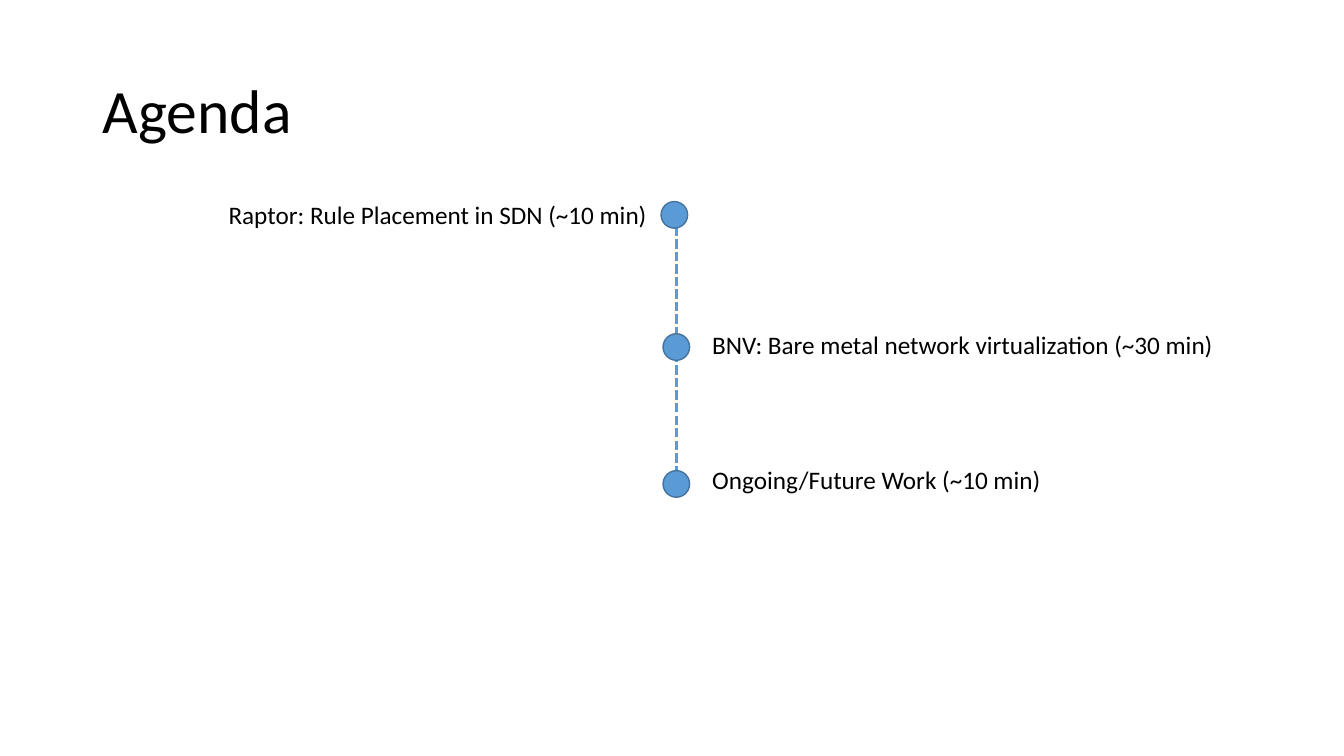
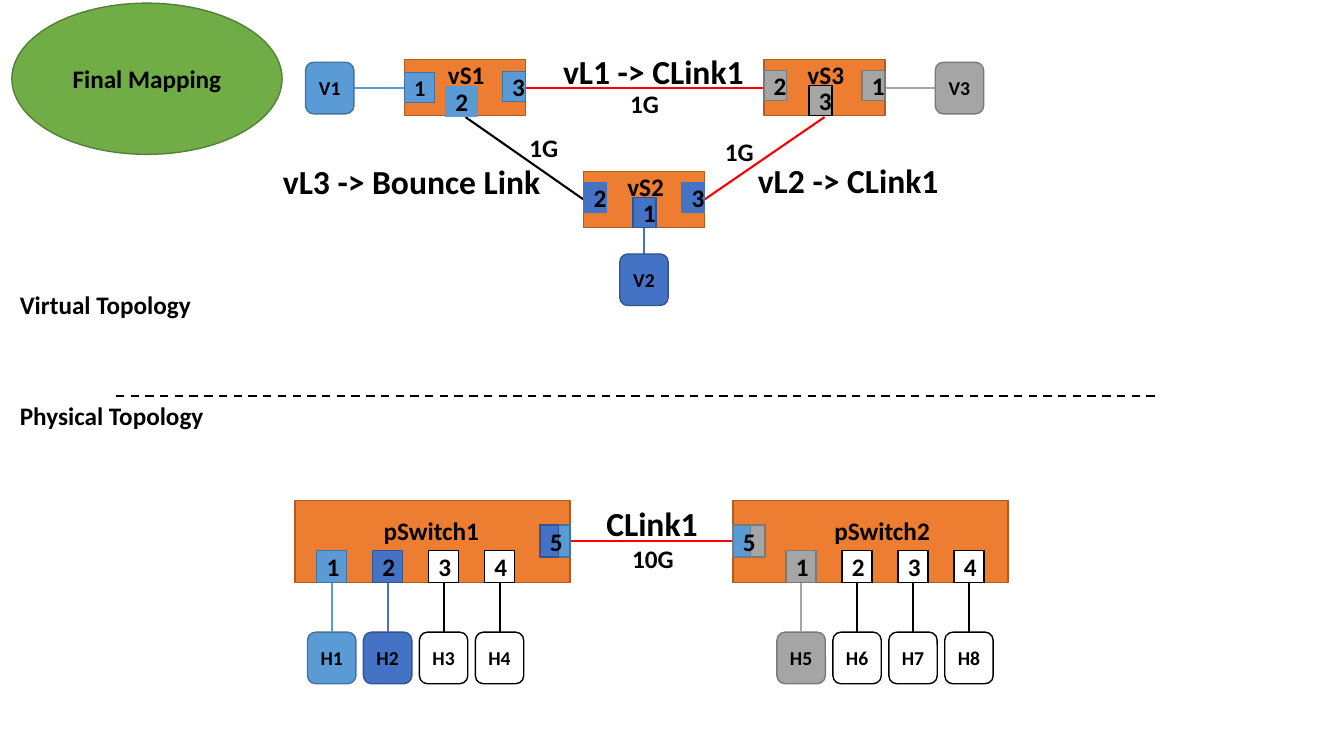
from dataclasses import dataclass
from lxml.etree import SubElement
from pptx import Presentation
from pptx.dml.color import RGBColor
from pptx.enum.dml import MSO_LINE
from pptx.enum.shapes import MSO_CONNECTOR, MSO_SHAPE
from pptx.enum.text import MSO_ANCHOR, PP_ALIGN
from pptx.oxml.ns import qn
from pptx.util import Cm, Pt


@dataclass(frozen=True)
class Paint:
    fill: str
    line: str


@dataclass(frozen=True)
class Theme:
    font: str = "Calibri"
    text: str = "000000"
    link: str = "FF0000"
    blue: Paint = Paint("5B9BD5", "43739E")
    flat_blue: Paint = Paint("5B9BD5", "5B9BD5")
    navy: Paint = Paint("4472C4", "325491")
    flat_navy: Paint = Paint("4472C4", "4472C4")
    gray: Paint = Paint("A5A5A5", "7A7A7A")
    outlined_gray: Paint = Paint("A6A6A6", "000000")
    blue_gray: Paint = Paint("5B9BD5", "7A7A7A")
    white: Paint = Paint("FFFFFF", "000000")
    orange: Paint = Paint("ED7D31", "AF5C24")
    green: Paint = Paint("70AD47", "538035")
    title_size: int = 44
    heading_size: int = 24
    body_size: int = 18
    port_size: int = 16
    host_size: int = 14


class Deck:
    def __init__(self, theme):
        self.theme = theme
        self.presentation = Presentation()
        self.presentation.slide_width = Cm(33.87)
        self.presentation.slide_height = Cm(19.05)
        self.slide = None

    def new_slide(self):
        self.slide = self.presentation.slides.add_slide(self.presentation.slide_layouts[6])

    def set_text(self, shape, text, size, bold):
        paragraph = shape.text_frame.paragraphs[0]
        paragraph.text = text
        paragraph.font.name = self.theme.font
        paragraph.font.size = Pt(size)
        paragraph.font.bold = bold
        paragraph.font.color.rgb = RGBColor.from_string(self.theme.text)
        return paragraph

    def title(self, text):
        shape = self.slide.shapes.add_textbox(Cm(2.34), Cm(1.02), Cm(29.21), Cm(3.68))
        shape.text_frame.word_wrap = True
        shape.text_frame.vertical_anchor = MSO_ANCHOR.MIDDLE
        self.set_text(shape, text, self.theme.title_size, False).line_spacing = 0.9

    def label(self, text, left, top, width, size=None, bold=True):
        size = size or self.theme.body_size
        height = 1.28 if size == self.theme.heading_size else 1.02
        shape = self.slide.shapes.add_textbox(Cm(left), Cm(top), Cm(width), Cm(height))
        shape.text_frame.word_wrap = False
        self.set_text(shape, text, size, bold)

    def heading(self, text, left, top, width):
        self.label(text, left, top, width, self.theme.heading_size)

    def shape(self, kind, left, top, width, height, paint, text="", size=None):
        shape = self.slide.shapes.add_shape(kind, Cm(left), Cm(top), Cm(width), Cm(height))
        shape.shadow.inherit = False
        shape.fill.solid()
        shape.fill.fore_color.rgb = RGBColor.from_string(paint.fill)
        shape.line.color.rgb = RGBColor.from_string(paint.line)
        shape.line.width = Pt(1)
        if text:
            shape.text_frame.vertical_anchor = MSO_ANCHOR.MIDDLE
            paragraph = self.set_text(shape, text, size or self.theme.body_size, True)
            paragraph.alignment = PP_ALIGN.CENTER

    def box(self, *arguments):
        self.shape(MSO_SHAPE.RECTANGLE, *arguments)

    def ellipse(self, *arguments):
        self.shape(MSO_SHAPE.OVAL, *arguments)

    def host(self, text, left, top, paint):
        self.shape(MSO_SHAPE.ROUNDED_RECTANGLE, left, top, 1.22, 1.3, paint, text,
                   self.theme.host_size)

    def line(self, start_x, start_y, end_x, end_y, color, width=1.5, dash=None):
        connector = self.slide.shapes.add_connector(
            MSO_CONNECTOR.STRAIGHT, Cm(start_x), Cm(start_y), Cm(end_x), Cm(end_y))
        connector.line.color.rgb = RGBColor.from_string(color)
        connector.line.width = Pt(width)
        if dash:
            connector.line.dash_style = dash
        SubElement(connector.element.spPr, qn("a:effectLst"))

    def virtual_switch(self, name, left, top, ports):
        self.box(left, top, 3.05, 1.42, self.theme.orange)
        for text, offset_x, offset_y, width, paint, size in ports:
            self.box(left + offset_x, top + offset_y, width, 0.76, paint, text, size)
        self.label(name, left + 0.85, top - 0.14, 1.45)

    def physical_switch(self, name, left, label_offset, port_offset, first_host, paints):
        self.box(left, 12.62, 6.93, 2.06, self.theme.orange)
        for index, paint in enumerate(paints):
            port_left = left + port_offset + index * 1.41
            host_left = port_left - 0.23
            center = host_left + 0.61
            color = self.theme.text if paint == self.theme.white else paint.fill
            self.box(port_left, 13.87, 0.76, 0.81, paint, str(index + 1))
            self.host(f"H{first_host + index}", host_left, 15.93, paint)
            self.line(center, 14.68, center, 15.93, color)
        self.label(name, left + label_offset, 12.85, 2.95)

    def uplink_port(self, left, paint, inner_left, inner_width, inner_paint):
        self.box(left, 13.23, 0.76, 0.81, paint)
        self.box(inner_left, 13.23, inner_width, 0.81, inner_paint)
        self.label("5", left, 13.15, 0.84)


def build_agenda(deck):
    theme = deck.theme
    deck.new_slide()
    deck.title("Agenda")
    for top, bottom in ((5.08, 8.51), (8.89, 12.34)):
        deck.line(17.04, top, 17.04, bottom, theme.blue.fill, 2.25, MSO_LINE.SQUARE_DOT)
    for text, dot_left, dot_top, left, top, width in (
        ("Raptor: Rule Placement in SDN (~10 min)", 16.66, 5.08, 5.51, 4.9, 11.18),
        ("BNV: Bare metal network virtualization (~30 min)", 16.71, 8.41, 17.7, 8.18, 13.3),
        ("Ongoing/Future Work (~10 min)", 16.71, 11.86, 17.7, 11.58, 8.89),
    ):
        deck.ellipse(dot_left, dot_top, 0.67, 0.67, theme.blue)
        deck.label(text, left, top, width, bold=False)


def build_virtual_topology(deck):
    theme = deck.theme
    for start_x, start_y, end_x, end_y, color in (
        (13.25, 2.21, 19.25, 2.21, theme.link),
        (11.73, 2.95, 14.71, 5.03, theme.text),
        (17.75, 5.03, 20.78, 2.95, theme.link),
        (8.92, 2.21, 10.19, 2.21, theme.blue.fill),
        (22.3, 2.21, 23.57, 2.21, theme.gray.fill),
        (16.23, 6.4, 16.23, 5.74, theme.navy.fill),
    ):
        deck.line(start_x, start_y, end_x, end_y, color)
    deck.virtual_switch("vS1", 10.19, 1.5, (
        ("1", 0, 0.33, 0.76, theme.blue, theme.port_size),
        ("2", 1.04, 0.68, 0.81, theme.flat_blue, None),
        ("3", 2.47, 0.3, 0.58, theme.blue, None),
    ))
    deck.virtual_switch("vS2", 14.71, 4.32, (
        ("2", 0, 0.28, 0.58, theme.flat_navy, None),
        ("3", 2.47, 0.28, 0.58, theme.flat_navy, None),
        ("1", 1.24, 0.66, 0.58, theme.navy, None),
    ))
    deck.virtual_switch("vS3", 19.25, 1.5, (
        ("2", 0, 0.28, 0.58, theme.gray, None),
        ("3", 1.14, 0.66, 0.58, theme.outlined_gray, None),
        ("1", 2.47, 0.28, 0.58, theme.gray, None),
    ))
    deck.host("V1", 7.7, 1.57, theme.blue)
    deck.host("V2", 15.62, 6.4, theme.navy)
    deck.host("V3", 23.57, 1.57, theme.gray)
    deck.heading("vL1 -> CLink1", 13.94, 1.17, 5.11)
    deck.heading("vL2 -> CLink1", 18.85, 3.91, 5.11)
    deck.heading("vL3 -> Bounce Link", 6.88, 3.94, 7.06)
    for left, top in ((18.02, 3.3), (13.09, 3.2), (15.63, 2.11)):
        deck.label("1G", left, top, 1.26)


def build_physical_topology(deck):
    theme = deck.theme
    deck.physical_switch("pSwitch1", 7.44, 1.98, 0.54, 1,
                         (theme.blue, theme.navy, theme.white, theme.white))
    deck.physical_switch("pSwitch2", 18.47, 2.31, 1.34, 5,
                         (theme.gray, theme.white, theme.white, theme.white))
    deck.line(14.37, 13.64, 18.47, 13.64, theme.link)
    deck.uplink_port(13.61, theme.blue, 13.61, 0.46, theme.navy)
    deck.uplink_port(18.47, theme.blue_gray, 18.92, 0.36, theme.gray)
    deck.heading("CLink1", 15.03, 12.55, 2.82)
    deck.label("10G", 15.68, 13.56, 1.56)


def build_final_mapping(deck):
    theme = deck.theme
    deck.new_slide()
    build_virtual_topology(deck)
    build_physical_topology(deck)
    deck.line(2.92, 9.98, 29.26, 9.98, theme.text, dash=MSO_LINE.DASH)
    deck.label("Virtual Topology", 0.25, 7.16, 4.95)
    deck.label("Physical Topology", 0.25, 9.96, 5.33)
    deck.ellipse(0.3, 0.08, 6.81, 3.81, theme.green, "Final Mapping")


def main():
    deck = Deck(Theme())
    build_agenda(deck)
    build_final_mapping(deck)
    deck.presentation.save("out.pptx")


if __name__ == "__main__":
    main()
